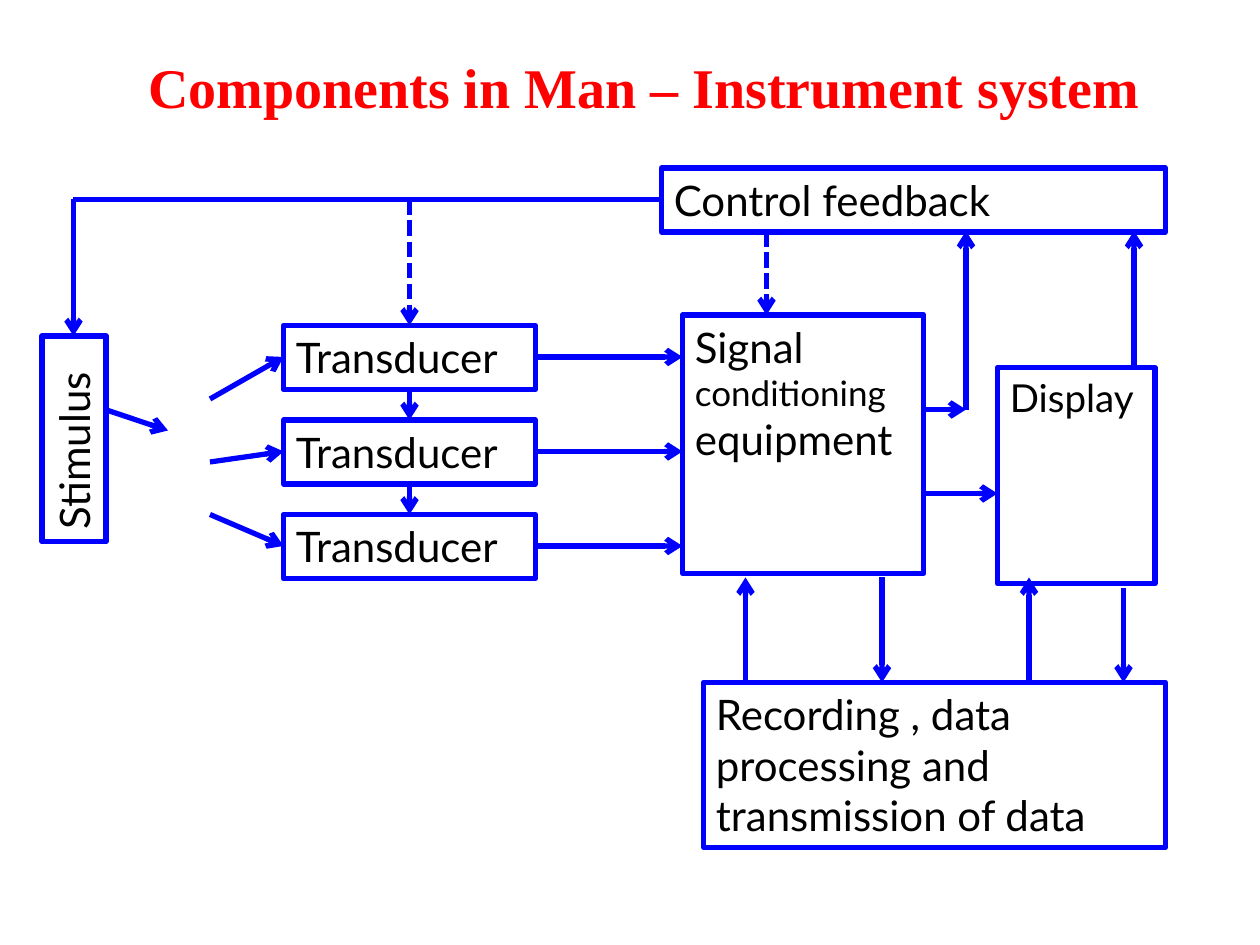
from pptx import Presentation, util as u
from pptx.dml.color import RGBColor
from pptx.enum import dml, shapes, text
from pptx.oxml.ns import qn
from lxml import etree

COLORS = {"title": "FF0000", "line": "0000FF", "text": "000000"}
UNIT = 2.54 / 12  # the diagram sits on a grid of twelfths of an inch


def write(p, words, size=24, font="Lato", color="text", bold=False):
    r = p.add_run()
    r.text = words
    r.font.size = u.Pt(size)
    r.font.name = font
    r.font.bold = bold
    r.font.color.rgb = RGBColor.from_string(COLORS[color])


def grid(*values):
    return [u.Cm(v * UNIT) for v in values]


prs = Presentation()
prs.slide_width, prs.slide_height = u.Cm(25.4), u.Cm(19.05)
s = prs.slides.add_slide(prs.slide_layouts[5])

# Title
title = s.shapes.title
title.left, title.top, title.width, title.height = grid(10, 2, 102, 10)
tf = title.text_frame
tf.auto_size = text.MSO_AUTO_SIZE.NONE
tf.vertical_anchor = text.MSO_ANCHOR.BOTTOM
p = tf.paragraphs[0]
p.alignment = text.PP_ALIGN.CENTER
p._p.get_or_add_pPr().set("marL", str(u.Cm(0.15)))
write(p, "Components in Man – Instrument system", size=32,
      font="Times New Roman", color="title", bold=True)

# Boxes: left, top, width, height, rotation, runs of (text, size)
transducer_tops = [31, 40, 49]
boxes = [
    (63, 16, 48, 6.1, 0, [("Control feedback", 24)]),
    (67, 65, 44, 15.7, 0,
     [("Recording , data processing and transmission of data", 24)]),
    (65, 30, 23, 24.6, 0,
     [("Signal ", 24), ("conditioning ", 20), ("equipment", 24)]),
    (95, 35, 15, 20.6, 0, [("Display", 22)]),
    (-2.75, 38.75, 19.6, 6.1, 270, [("Stimulus", 24)]),
]
boxes += [(27, top, 24, 6.1, 0, [("Transducer", 24)])
          for top in transducer_tops]

for left, top, width, height, rotation, runs in boxes:
    sp = s.shapes.add_shape(shapes.MSO_SHAPE.RECTANGLE,
                            *grid(left, top, width, height))
    sp.rotation = rotation
    sp.shadow.inherit = False
    sp.fill.background()
    sp.line.color.rgb = RGBColor.from_string(COLORS["line"])
    sp.line.width = u.Pt(3)
    tf = sp.text_frame
    tf.word_wrap = True
    tf.vertical_anchor = text.MSO_ANCHOR.TOP
    p = tf.paragraphs[0]
    p.alignment = text.PP_ALIGN.LEFT
    for words, size in runs:
        write(p, words, size=size)

# Lines: start x, start y, end x, end y, style
lines = [
    # Feedback to the stimulus, the transducers and the conditioning
    (63, 19, 7, 19, "plain"),
    (7, 19, 7, 32, "arrow"),
    (39, 19, 39, 31, "dashed"),
    (73, 22, 73, 30, "dashed"),
    # Stimulus to transducers
    (10, 39, 16, 41, "arrow"),
    (20, 38, 27, 34, "arrow"),
    (20, 44, 27, 43, "arrow"),
    (20, 49, 27, 52, "arrow"),
    # Between transducers
    (39, 37, 39, 40, "dashed"),
    (39, 46, 39, 49, "arrow"),
    # Conditioning and display, and back to the control
    (88, 39, 92, 39, "arrow"),
    (92, 39, 92, 22, "arrow"),
    (88, 47, 95, 47, "arrow"),
    (108, 35, 108, 22, "arrow"),
    # To and from recording
    (71, 65, 71, 55, "arrow"),
    (84, 55, 84, 65, "arrow"),
    (98, 65, 98, 55, "arrow"),
    (107, 56, 107, 65, "arrow"),
]
# Transducers to signal conditioning
lines += [(51, top + 3, 65, top + 3, "arrow") for top in transducer_tops]

for x1, y1, x2, y2, style in lines:
    c = s.shapes.add_connector(shapes.MSO_CONNECTOR.STRAIGHT,
                               *grid(x1, y1, x2, y2))
    c.line.color.rgb = RGBColor.from_string(COLORS["line"])
    c.line.width = u.Pt(3)
    if style == "dashed":
        c.line.dash_style = dml.MSO_LINE.SQUARE_DOT
    if style != "plain":
        etree.SubElement(c.line._get_or_add_ln(), qn("a:tailEnd"),
                         type="arrow")
    etree.SubElement(c._element.spPr, qn("a:effectLst"))

prs.save("out.pptx")
